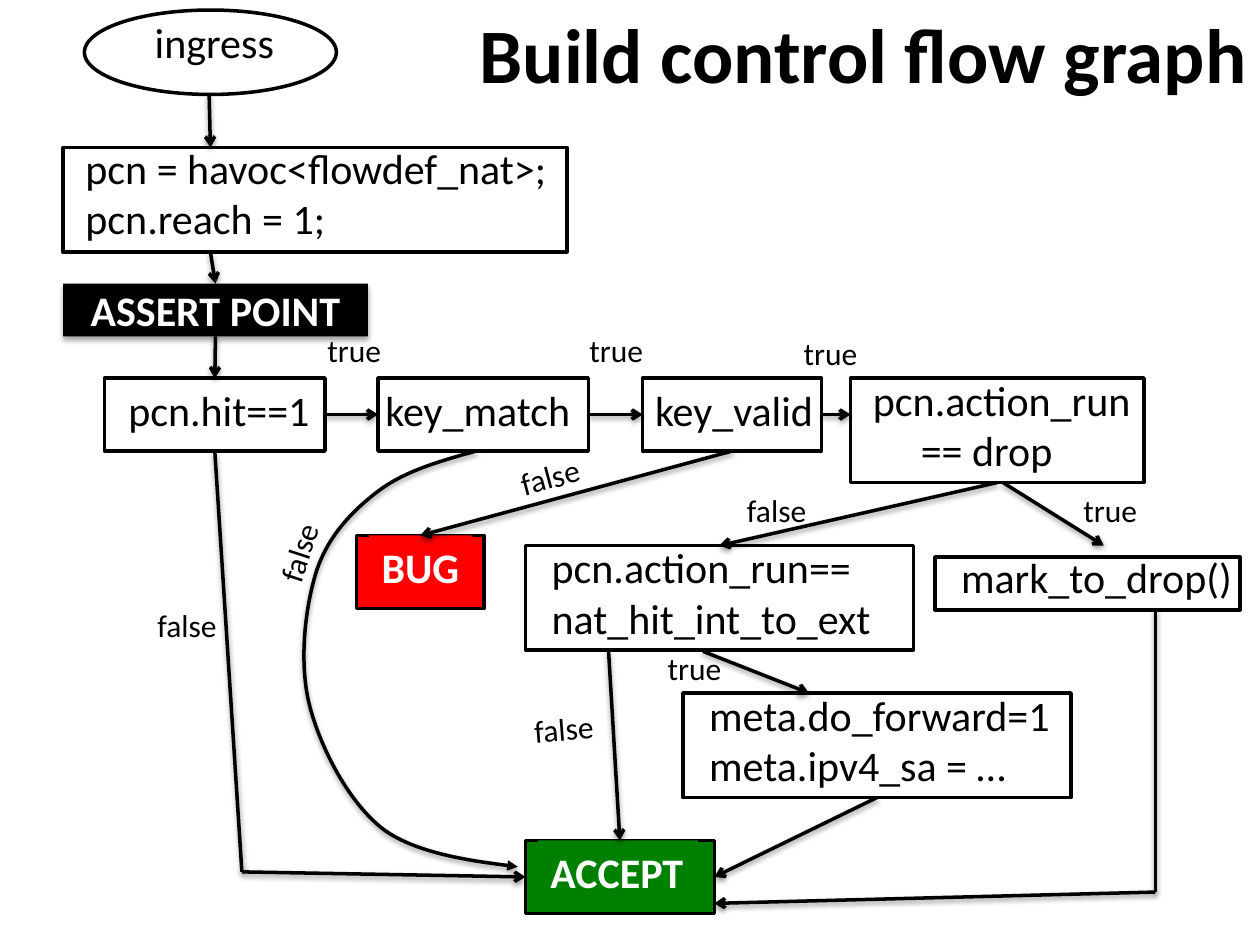
from pptx import Presentation
from pptx.dml.color import RGBColor
from pptx.enum.shapes import MSO_CONNECTOR, MSO_SHAPE
from pptx.enum.text import MSO_ANCHOR, MSO_AUTO_SIZE, PP_ALIGN
from pptx.oxml.ns import qn
from pptx.util import Inches, Pt
from lxml.etree import SubElement

INK = {"black": "000000", "white": "FFFFFF", "red": "FF0000", "green": "008000"}
TOP, LEFT, BOTTOM, RIGHT = range(4)


def tint(name):
    return RGBColor.from_string(INK[name])


def paint(shape, fill):
    shape.fill.solid()
    shape.fill.fore_color.rgb = tint(fill)


def style(para, size, color="black", bold=False):
    font = para.font
    font.name, font.size, font.bold = "Calibri", Pt(size), bold
    font.color.rgb = tint(color)


def label(shapes, box, text, size=18, color="black", bold=False, wrap=False, turn=0):
    item = shapes.add_textbox(*map(Inches, box))
    item.rotation = turn
    frame = item.text_frame
    frame.word_wrap = wrap
    frame.auto_size = MSO_AUTO_SIZE.SHAPE_TO_FIT_TEXT
    frame.text = text
    for para in frame.paragraphs:
        style(para, size, color, bold)
    return item


def node(slide, box, area, text, fill="white", wrap=False, kind=MSO_SHAPE.RECTANGLE):
    """Outlined shape grouped with its text; returns both."""
    group = slide.shapes.add_group_shape()
    shape = group.shapes.add_shape(kind, *map(Inches, box))
    shape.shadow.inherit = False
    paint(shape, fill)
    shape.line.color.rgb = tint("black")
    shape.line.width = Pt(2)
    plain = fill == "white"
    note = label(group.shapes, area, text, 24, "black" if plain else "white",
                 not plain, wrap)
    if not plain:
        paint(note, fill)
    return shape, note


def banner(slide, box, text):
    shape = slide.shapes.add_shape(MSO_SHAPE.RECTANGLE, *map(Inches, box))
    paint(shape, "black")
    shape.line.fill.background()
    frame = shape.text_frame
    frame.text = text
    frame.vertical_anchor = MSO_ANCHOR.MIDDLE
    frame.paragraphs[0].alignment = PP_ALIGN.CENTER
    style(frame.paragraphs[0], 24, "white", True)
    return shape


def ink_line(item, head):
    item.line.color.rgb = tint("black")
    item.line.width = Pt(2)
    if head:
        SubElement(item.line._get_or_add_ln(), qn("a:tailEnd"), type=head)


def link(slide, start, end, head="arrow"):
    """Line between two ends, each a point (x, y) or a pair (shape, side)."""
    line = slide.shapes.add_connector(MSO_CONNECTOR.STRAIGHT, 0, 0, 0, 0)
    if isinstance(start[0], (int, float)):
        line.begin_x, line.begin_y = map(Inches, start)
    else:
        line.begin_connect(*start)
    if isinstance(end[0], (int, float)):
        line.end_x, line.end_y = map(Inches, end)
    else:
        line.end_connect(*end)
    ink_line(line, head)


def curve(slide, points, head):
    """Bezier outline: a start, then three points for each segment."""
    spots = [(Inches(x), Inches(y)) for x, y in points]
    pen = slide.shapes.build_freeform(*spots[0])
    pen.add_line_segments(spots[1:], close=False)
    shape = pen.convert_to_shape()
    # Turn each three straight steps into one bend
    path = shape._element.xpath(".//a:path")[0]
    steps = path.findall(qn("a:lnTo"))
    for i in range(0, len(steps), 3):
        bend = SubElement(path, qn("a:cubicBezTo"))
        for step in steps[i:i + 3]:
            bend.append(step[0])
            path.remove(step)
    shape.fill.background()
    shape._element.xpath(".//a:effectRef")[0].set("idx", "1")
    ink_line(shape, head)


def title(slide, text):
    item = slide.shapes.add_textbox(*map(Inches, (1, 0, 9, 1.25)))
    item.text_frame.word_wrap = True
    item.text_frame.text = text
    para = item.text_frame.paragraphs[0]
    para.alignment = PP_ALIGN.RIGHT
    style(para, 44, bold=True)


def main():
    deck = Presentation()
    deck.slide_width, deck.slide_height = Inches(10), Inches(7.5)
    slide = deck.slides.add_slide(deck.slide_layouts[6])

    # Nodes
    node(slide, (0.67, 0.08, 2, 0.67), (1.13, 0.08, 1.16, 0.5), "ingress",
         kind=MSO_SHAPE.OVAL)
    node(slide, (0.5, 1.17, 4, 0.83), (0.58, 1.08, 3.91, 0.91),
         "pcn = havoc<flowdef_nat>;\npcn.reach = 1;")
    point = banner(slide, (0.5, 2.25, 2.42, 0.42), "ASSERT POINT")
    hit, _ = node(slide, (0.83, 3, 1.75, 0.58), (0.92, 3, 1.66, 0.5), "pcn.hit==1")
    match, _ = node(slide, (3, 3, 1.67, 0.58), (2.96, 3, 1.7, 0.5), "key_match")
    valid, _ = node(slide, (5.1, 3, 1.42, 0.58), (5.1, 3, 1.49, 0.5),
                    "key_valid", wrap=True)
    drop, note = node(slide, (6.75, 3, 2.33, 0.83), (6.83, 2.92, 2.25, 0.92),
                      "pcn.action_run\n== drop", wrap=True)
    second = note.text_frame.paragraphs[1]
    second._p.get_or_add_pPr().set("marL", str(Inches(0.38)))
    bug, _ = node(slide, (2.83, 4.25, 1.01, 0.58), (2.93, 4.25, 0.82, 0.5),
                  "BUG", "red")
    nat, _ = node(slide, (4.17, 4.33, 3.08, 0.83), (4.28, 4.25, 3.06, 0.91),
                  "pcn.action_run== nat_hit_int_to_ext", wrap=True)
    meta, _ = node(slide, (5.42, 5.5, 3.08, 0.83), (5.53, 5.42, 3.06, 0.91),
                   "meta.do_forward=1\nmeta.ipv4_sa = …", wrap=True)
    node(slide, (7.42, 4.42, 2.42, 0.42), (7.53, 4.33, 2.47, 0.5),
         "mark_to_drop()", wrap=True)
    accept, _ = node(slide, (4.17, 6.67, 1.5, 0.58), (4.27, 6.67, 1.27, 0.5),
                     "ACCEPT", "green")

    # Arrows
    for start, end in (
        ((1.66, 0.75), (1.67, 1.17)),
        ((1.67, 2), (point, TOP)),
        ((point, BOTTOM), (hit, TOP)),
        ((hit, RIGHT), (match, LEFT)),
        ((match, RIGHT), (valid, LEFT)),
        ((valid, RIGHT), (6.75, 3.29)),
        ((valid, BOTTOM), (bug, TOP)),
        ((drop, BOTTOM), (nat, TOP)),
        ((7.96, 3.83), (8.76, 4.33)),
        ((4.83, 5.17), (accept, TOP)),
        ((5.58, 5.17), (6.42, 5.5)),
        ((meta, BOTTOM), (accept, RIGHT)),
        ((9.17, 7.08), (5.67, 7.17)),
        ((1.92, 6.92), (accept, LEFT)),
    ):
        link(slide, start, end)

    # Plain first legs of the two bent routes
    link(slide, (hit, BOTTOM), (1.92, 6.92), None)
    link(slide, (9.17, 4.83), (9.17, 7.08), None)

    # Curved route from key_match to ACCEPT
    curve(slide, [(3.78, 3.58), (3.49, 3.66), (3.21, 3.74), (3, 3.9),
                  (2.79, 4.06), (2.6, 4.26), (2.51, 4.54),
                  (2.42, 4.83), (2.37, 5.27), (2.46, 5.61),
                  (2.55, 5.95), (2.77, 6.37), (3.04, 6.58),
                  (3.32, 6.79), (4.11, 6.88), (4.11, 6.88)], "triangle")

    # Branch labels
    for x, y in ((2.5, 2.58), (4.58, 2.58), (6.28, 2.6), (8.5, 3.85), (5.2, 5.1)):
        label(slide.shapes, (x, y, 0.63, 0.4), "true")
    for x, y, turn in ((4.03, 3.58, 345.1), (4.14, 5.58, 355.5), (5.83, 3.85, 0),
                       (1.15, 4.76, 0), (2.03, 4.18, 288.1)):
        label(slide.shapes, (x, y, 0.68, 0.4), "false", turn=turn)

    title(slide, "Build control flow graph")
    deck.save("out.pptx")


if __name__ == "__main__":
    main()
